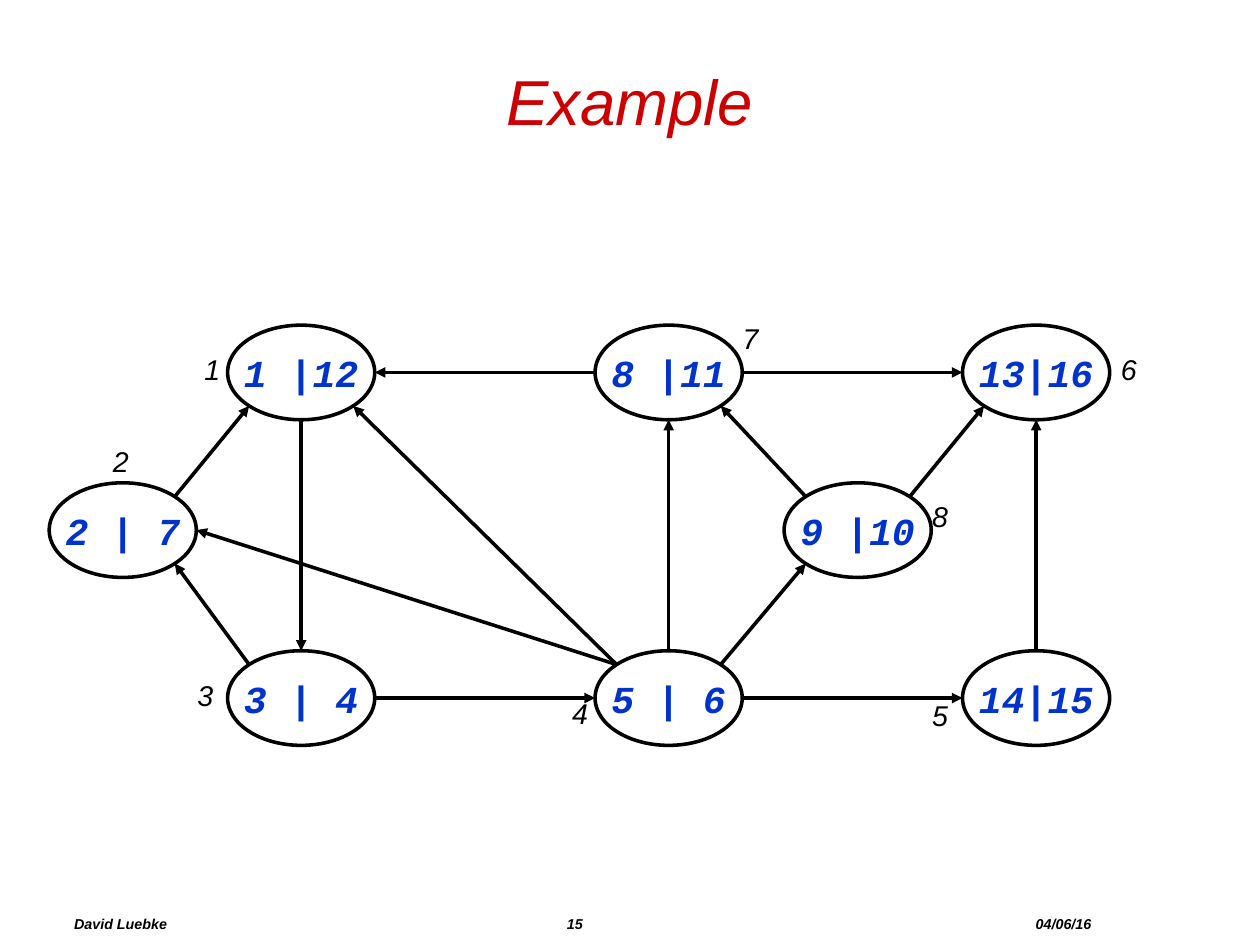
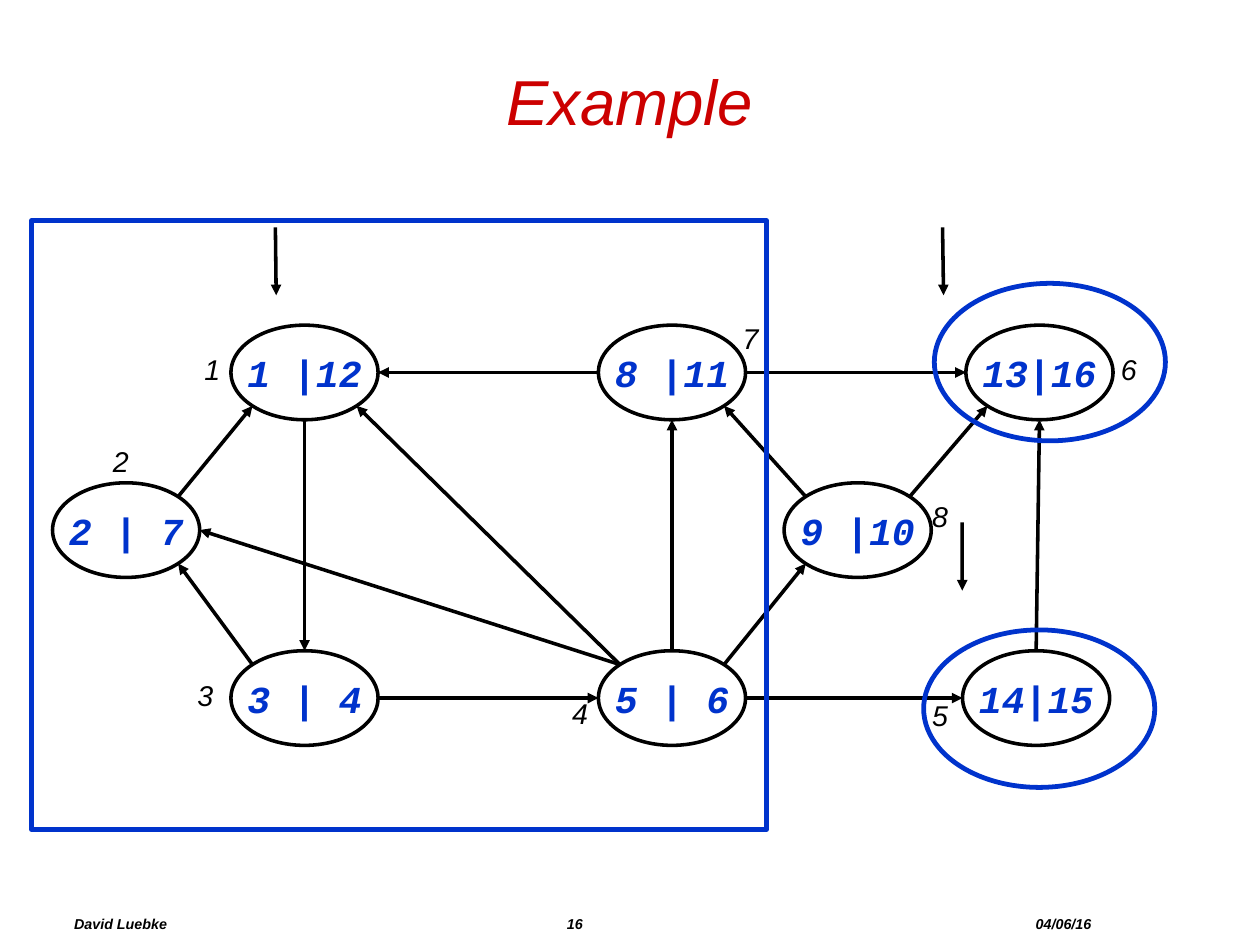
from dataclasses import dataclass
from math import sqrt
from typing import NamedTuple

from lxml.etree import SubElement
from pptx import Presentation
from pptx.dml.color import RGBColor
from pptx.enum.shapes import MSO_CONNECTOR, MSO_SHAPE
from pptx.enum.text import MSO_ANCHOR, MSO_AUTO_SIZE, PP_ALIGN
from pptx.oxml.ns import qn
from pptx.util import Pt


@dataclass(frozen=True)
class Theme:
    title_color: RGBColor = RGBColor(0xCC, 0x00, 0x00)
    accent: RGBColor = RGBColor(0x00, 0x33, 0xCC)
    ink: RGBColor = RGBColor(0x00, 0x00, 0x00)
    body_font: str = "Arial"
    node_font: str = "Courier New"
    title_size: float = 40
    node_size: float = 24
    label_size: float = 18
    footer_size: float = 9
    thin_line: float = 2.25
    thick_line: float = 3


class Point(NamedTuple):
    x: float
    y: float


class Box(NamedTuple):
    left: float
    top: float
    width: float
    height: float


class Node(NamedTuple):
    times: str
    left: float
    top: float
    label: Point


class Edge(NamedTuple):
    source: int
    source_site: str
    target: int
    target_site: str


class Highlight(NamedTuple):
    kind: MSO_SHAPE
    box: Box


class Marker(NamedTuple):
    start: Point
    end: Point


@dataclass(frozen=True)
class GraphSlide:
    number: int
    shift: float = 0
    markers: tuple[Marker, ...] = ()
    highlights: tuple[Highlight, ...] = ()


THEME = Theme()
SLIDE_WIDTH, SLIDE_HEIGHT = 793.75, 595.25
TITLE_BOX = Box(39.6, 20.2, 714.2, 85.7)
FOOTER_BOX = Box(39.6, 568.5, 714.2, 26.6)
FOOTER_TABS = (310.4, 605.8)
NODE_WIDTH, NODE_HEIGHT = 92.7, 59.6
LABEL_WIDTH, LABEL_HEIGHT = 24.5, 28.8
COLUMN_ONE, COLUMN_GAP = 143.4, 231.5
COLUMN_TWO = COLUMN_ONE + COLUMN_GAP
COLUMN_THREE = COLUMN_TWO + COLUMN_GAP
TOP_ROW, MIDDLE_ROW, BOTTOM_ROW = 204.8, 304.1, 409.9

NODES = {
    1: Node("1 |12", COLUMN_ONE, TOP_ROW, Point(121.7, 218.2)),
    7: Node("8 |11", COLUMN_TWO, TOP_ROW, Point(460.8, 198.7)),
    6: Node("13|16", COLUMN_THREE, TOP_ROW, Point(699, 218.2)),
    5: Node("14|15", COLUMN_THREE, BOTTOM_ROW, Point(580.1, 436.4)),
    4: Node("5 | 6", COLUMN_TWO, BOTTOM_ROW, Point(353.3, 434.6)),
    3: Node("3 | 4", COLUMN_ONE, BOTTOM_ROW, Point(117.2, 423.3)),
    2: Node("2 | 7", 31, MIDDLE_ROW, Point(64.1, 276.2)),
    8: Node("9 |10", 494, MIDDLE_ROW, Point(580.1, 310.7)),
}
UNSHIFTED_NODES = {5, 8}

EDGES = (
    Edge(2, "top right", 1, "bottom left"),
    Edge(3, "top left", 2, "bottom right"),
    Edge(4, "top left", 2, "right"),
    Edge(3, "right", 4, "left"),
    Edge(1, "bottom", 3, "top"),
    Edge(4, "top left", 1, "bottom right"),
    Edge(4, "top", 7, "bottom"),
    Edge(7, "left", 1, "right"),
    Edge(7, "right", 6, "left"),
    Edge(8, "top left", 7, "bottom right"),
    Edge(8, "top right", 6, "bottom left"),
    Edge(5, "top", 6, "bottom"),
    Edge(4, "right", 5, "left"),
    Edge(4, "top right", 8, "bottom left"),
)
DIRECTIONS = {"top": (0, -1), "bottom": (0, 1), "left": (-1, 0), "right": (1, 0)}

SLIDES = (
    GraphSlide(15),
    GraphSlide(
        16,
        shift=2.1,
        markers=(
            Marker(Point(593.8, 143.2), Point(594.4, 186)),
            Marker(Point(606.1, 329), Point(606.2, 372)),
            Marker(Point(173.5, 143.2), Point(174, 186)),
        ),
        highlights=(
            Highlight(MSO_SHAPE.OVAL, Box(588.6, 178.5, 145.6, 99.2)),
            Highlight(MSO_SHAPE.OVAL, Box(581.9, 396.8, 145.6, 99.2)),
            Highlight(MSO_SHAPE.RECTANGLE, Box(19.8, 138.9, 463.1, 383.6)),
        ),
    ),
)


def points(values: tuple) -> list:
    return [Pt(value) for value in values]


def write_text(shape, text: str, *, size: float, color: RGBColor = THEME.ink,
               font: str = THEME.body_font, bold: bool = False, wrap: bool = False,
               align: PP_ALIGN = PP_ALIGN.LEFT,
               anchor: MSO_ANCHOR = MSO_ANCHOR.MIDDLE):
    frame = shape.text_frame
    frame.word_wrap = wrap
    frame.vertical_anchor = anchor
    paragraph = frame.paragraphs[0]
    paragraph.alignment = align
    run = paragraph.add_run()
    run.text = text
    run.font.name = font
    run.font.size = Pt(size)
    run.font.bold = bold
    run.font.italic = True
    run.font.color.rgb = color
    return paragraph


def add_title(slide, text: str) -> None:
    title = slide.shapes.title
    title.left, title.top, title.width, title.height = points(TITLE_BOX)
    write_text(title, text, size=THEME.title_size, color=THEME.title_color,
               wrap=True, align=PP_ALIGN.CENTER)


def add_footer(slide, number: int) -> None:
    footer = slide.shapes.add_textbox(*points(FOOTER_BOX))
    paragraph = write_text(footer, f"David Luebke\t{number}\t04/06/16",
                           size=THEME.footer_size, bold=True, wrap=True)
    properties = paragraph._p.get_or_add_pPr()
    tab_list = SubElement(properties, qn("a:tabLst"))
    for position in FOOTER_TABS:
        SubElement(tab_list, qn("a:tab"), pos=str(int(Pt(position))), algn="l")


def add_outline(slide, kind: MSO_SHAPE, box: Box, color: RGBColor, width: float):
    shape = slide.shapes.add_shape(kind, *points(box))
    shape.shadow.inherit = False
    shape.fill.background()
    shape.line.color.rgb = color
    shape.line.width = Pt(width)
    return shape


def add_arrow(slide, start: Point, end: Point) -> None:
    arrow = slide.shapes.add_connector(MSO_CONNECTOR.STRAIGHT, *points(start + end))
    arrow.line.color.rgb = THEME.ink
    arrow.line.width = Pt(THEME.thin_line)
    properties = arrow._element.spPr
    SubElement(properties.find(qn("a:ln")), qn("a:tailEnd"), type="triangle")
    SubElement(properties, qn("a:effectLst"))


def node_box(number: int, shift: float) -> Box:
    node = NODES[number]
    offset = 0 if number in UNSHIFTED_NODES else shift
    return Box(node.left + offset, node.top, NODE_WIDTH, NODE_HEIGHT)


def site_point(box: Box, site: str) -> Point:
    steps = [DIRECTIONS[word] for word in site.split()]
    scale = 2 * sqrt(len(steps))
    return Point(
        box.left + box.width / 2 + sum(step[0] for step in steps) * box.width / scale,
        box.top + box.height / 2 + sum(step[1] for step in steps) * box.height / scale,
    )


def add_graph(slide, shift: float) -> None:
    boxes = {number: node_box(number, shift) for number in NODES}
    for number, node in NODES.items():
        ellipse = add_outline(slide, MSO_SHAPE.OVAL, boxes[number],
                              THEME.ink, THEME.thin_line)
        write_text(ellipse, node.times, size=THEME.node_size, color=THEME.accent,
                   font=THEME.node_font, bold=True, align=PP_ALIGN.CENTER)
    for edge in EDGES:
        add_arrow(slide, site_point(boxes[edge.source], edge.source_site),
                  site_point(boxes[edge.target], edge.target_site))
    for number in sorted(NODES):
        label = slide.shapes.add_textbox(
            *points(NODES[number].label + (LABEL_WIDTH, LABEL_HEIGHT)))
        write_text(label, str(number), size=THEME.label_size, anchor=MSO_ANCHOR.TOP)
        label.text_frame.auto_size = MSO_AUTO_SIZE.SHAPE_TO_FIT_TEXT


def add_graph_slide(presentation, content: GraphSlide) -> None:
    slide = presentation.slides.add_slide(
        presentation.slide_layouts.get_by_name("Title Only"))
    add_title(slide, "Example")
    add_footer(slide, content.number)
    add_graph(slide, content.shift)
    for marker in content.markers:
        add_arrow(slide, marker.start, marker.end)
    for highlight in content.highlights:
        add_outline(slide, highlight.kind, highlight.box,
                    THEME.accent, THEME.thick_line)


def main() -> None:
    presentation = Presentation()
    presentation.slide_width = Pt(SLIDE_WIDTH)
    presentation.slide_height = Pt(SLIDE_HEIGHT)
    for content in SLIDES:
        add_graph_slide(presentation, content)
    presentation.save("out.pptx")


if __name__ == "__main__":
    main()
